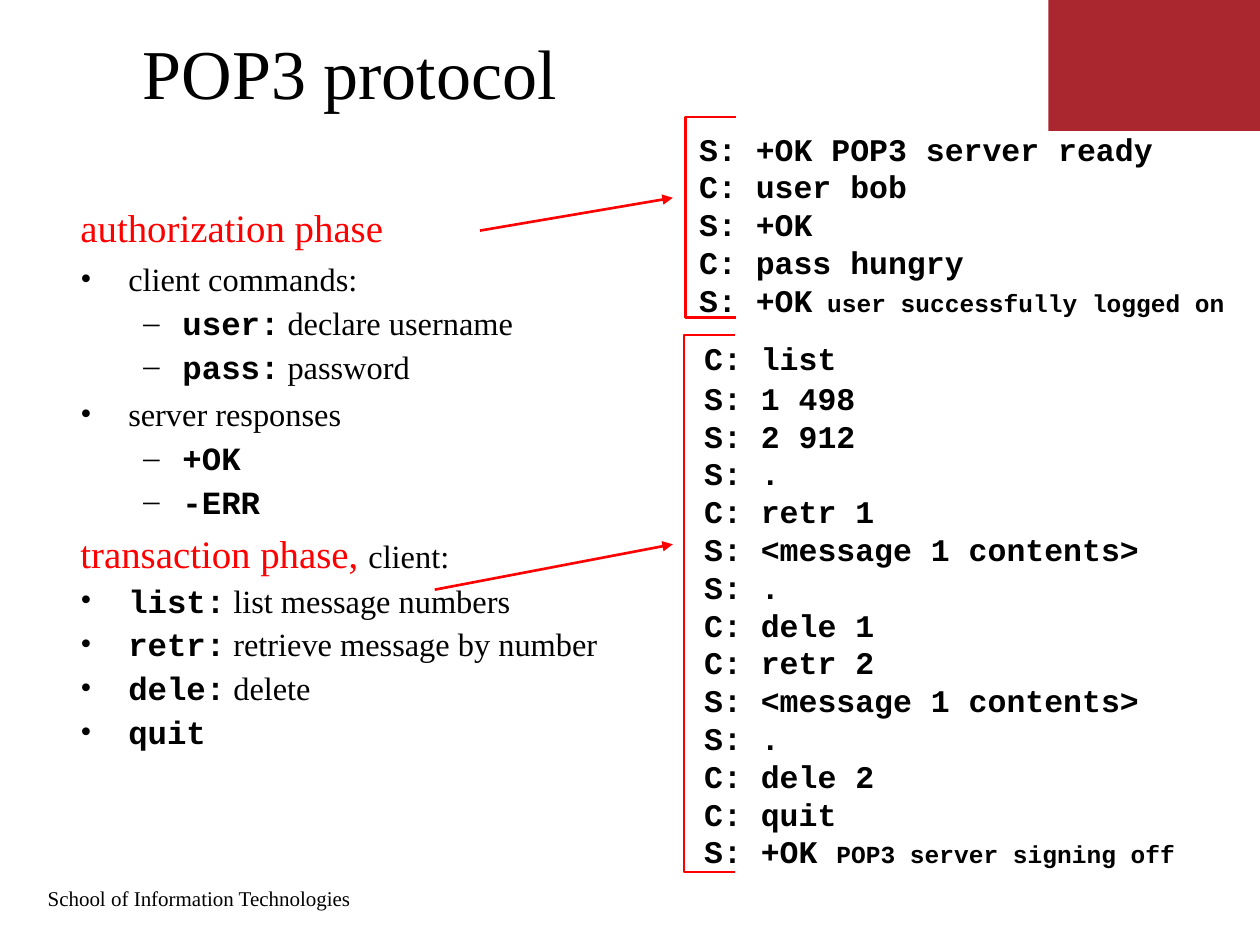
from lxml.etree import SubElement
from pptx import Presentation
from pptx.dml.color import RGBColor
from pptx.enum.shapes import MSO_CONNECTOR as Connector, MSO_SHAPE as Shape
from pptx.enum.text import MSO_ANCHOR as Anchor, PP_ALIGN as Align
from pptx.oxml.ns import qn
from pptx.util import Inches, Pt

BLACK = RGBColor(0x00, 0x00, 0x00)
RED = RGBColor(0xFF, 0x00, 0x00)
CRIMSON = RGBColor(0xAB, 0x27, 0x30)
SERIF, MONO = "Times New Roman", "Courier New"
PHASE_SIZE, ITEM_SIZE = 22.2, 18.5
CODE_SIZE, REMARK_SIZE = 18, 14
LINE_HEIGHT = 1.2

TITLE = "POP3 protocol"
FOOTER = "School of Information Technologies"

# level, command, description
OUTLINE = [
    ("phase", "authorization phase", ""),
    ("item", "", "client commands:"),
    ("detail", "user:", " declare username"),
    ("detail", "pass:", " password"),
    ("item", "", "server responses"),
    ("detail", "+OK", ""),
    ("detail", "-ERR", ""),
    ("phase", "transaction phase, ", "client:"),
    ("item", "list:", " list message numbers"),
    ("item", "retr:", " retrieve message by number"),
    ("item", "dele:", " delete"),
    ("item", "quit", ""),
]
LEVELS = {
    "phase": (0.38, -0.38, None),
    "item": (0.38, -0.38, "•"),
    "detail": (0.81, -0.31, "–"),
}

AUTHORIZATION = [
    ("S: +OK POP3 server ready", ""),
    ("C: user bob", ""),
    ("S: +OK", ""),
    ("C: pass hungry", ""),
    ("S: +OK", " user successfully logged on"),
]
TRANSACTION = [
    ("C: list", ""),
    ("S: 1 498", ""),
    ("S: 2 912", ""),
    ("S: .", ""),
    ("C: retr 1", ""),
    ("S: <message 1 contents>", ""),
    ("S: .", ""),
    ("C: dele 1", ""),
    ("C: retr 2", ""),
    ("S: <message 1 contents>", ""),
    ("S: .", ""),
    ("C: dele 2", ""),
    ("C: quit", ""),
    ("S: +OK ", "POP3 server signing off"),
]
TRANSCRIPTS = [
    (AUTHORIZATION, 5.45, 0.98, 0),
    (TRANSACTION, 5.49, 2.64, 1.3),
]
BRACKETS = [(5.44, 0.93, 2.52), (5.43, 2.66, 6.92)]
ARROWS = [(3.81, 1.83, 5.34, 1.57), (3.45, 4.68, 5.34, 4.32)]
BRACKET_ARM = 0.4


def add_text_frame(slide, left, top, width, height):
    box = slide.shapes.add_textbox(*map(Inches, (left, top, width, height)))
    box.text_frame.word_wrap = True
    return box.text_frame


def add_run(paragraph, text, size, font=SERIF, color=BLACK):
    if text:
        run = paragraph.add_run()
        run.text = text
        run.font.size = Pt(size)
        run.font.name = font
        run.font.bold = font == MONO
        run.font.color.rgb = color


def paragraphs_for(frame, lines):
    for index, line in enumerate(lines):
        yield index, frame.add_paragraph() if index else frame.paragraphs[0], line


def set_bullet(paragraph, margin, indent, bullet):
    props = paragraph._p.get_or_add_pPr()
    props.set("marL", str(Inches(margin)))
    props.set("indent", str(Inches(indent)))
    if bullet:
        color = SubElement(props, qn("a:buClr"))
        SubElement(color, qn("a:srgbClr")).set("val", str(BLACK))
        SubElement(props, qn("a:buFont")).set("typeface", SERIF)
        SubElement(props, qn("a:buChar")).set("char", bullet)


def add_outline(slide):
    frame = add_text_frame(slide, 0.54, 1.57, 4.34, 5.08)
    for index, paragraph, (level, lead, rest) in paragraphs_for(frame, OUTLINE):
        size, font, color = ITEM_SIZE, MONO, BLACK
        if level == "phase":
            size, font, color = PHASE_SIZE, SERIF, RED
        tightness = 0.9 if font == MONO and lead else 1
        paragraph.line_spacing = Pt(size * LINE_HEIGHT * tightness)
        paragraph.space_before = Pt(5 if index else 0)
        set_bullet(paragraph, *LEVELS[level])
        add_run(paragraph, lead, size, font, color)
        add_run(paragraph, rest, ITEM_SIZE)


def add_transcript(slide, lines, left, top, first_gap):
    pitch = CODE_SIZE * LINE_HEIGHT
    frame = add_text_frame(slide, left, top, 4.5, len(lines) * pitch / 72 + 0.1)
    for index, paragraph, (message, remark) in paragraphs_for(frame, lines):
        paragraph.line_spacing = Pt(pitch)
        paragraph.space_before = Pt(first_gap if index == 1 else 0)
        add_run(paragraph, message, CODE_SIZE, MONO)
        add_run(paragraph, remark, REMARK_SIZE, MONO)


def add_bracket(slide, left, top, bottom):
    right = left + BRACKET_ARM
    builder = slide.shapes.build_freeform(Inches(right), Inches(top))
    corners = [(left, top), (left, bottom), (right, bottom)]
    builder.add_line_segments([(Inches(x), Inches(y)) for x, y in corners], close=False)
    bracket = builder.convert_to_shape()
    bracket.shadow.inherit = False
    bracket.fill.background()
    bracket.line.color.rgb = RED
    bracket.line.width = Pt(1.5)


def add_arrow(slide, *ends):
    arrow = slide.shapes.add_connector(Connector.STRAIGHT, *map(Inches, ends))
    arrow.line.color.rgb = RED
    arrow.line.width = Pt(1.5)
    SubElement(arrow.line._get_or_add_ln(), qn("a:tailEnd")).set("type", "triangle")
    SubElement(arrow._element.spPr, qn("a:effectLst"))


def main():
    deck = Presentation()
    deck.slide_width, deck.slide_height = Inches(10), Inches(7.5)
    slide = deck.slides.add_slide(deck.slide_layouts[6])

    footer = add_text_frame(slide, 0.28, 6.98, 2.8, 0.3)
    add_run(footer.paragraphs[0], FOOTER, 12)

    corner = slide.shapes.add_shape(Shape.RECTANGLE, Inches(8.32), 0, Inches(1.68), Inches(1.04))
    corner.shadow.inherit = False
    corner.fill.solid()
    corner.fill.fore_color.rgb = CRIMSON
    corner.line.fill.background()

    title = add_text_frame(slide, 0, 0.13, 5.55, 0.87)
    title.vertical_anchor = Anchor.MIDDLE
    title.paragraphs[0].alignment = Align.CENTER
    add_run(title.paragraphs[0], TITLE, 40)

    add_outline(slide)
    for transcript in TRANSCRIPTS:
        add_transcript(slide, *transcript)
    for bracket, arrow in zip(BRACKETS, ARROWS):
        add_bracket(slide, *bracket)
        add_arrow(slide, *arrow)

    deck.save("out.pptx")


if __name__ == "__main__":
    main()
